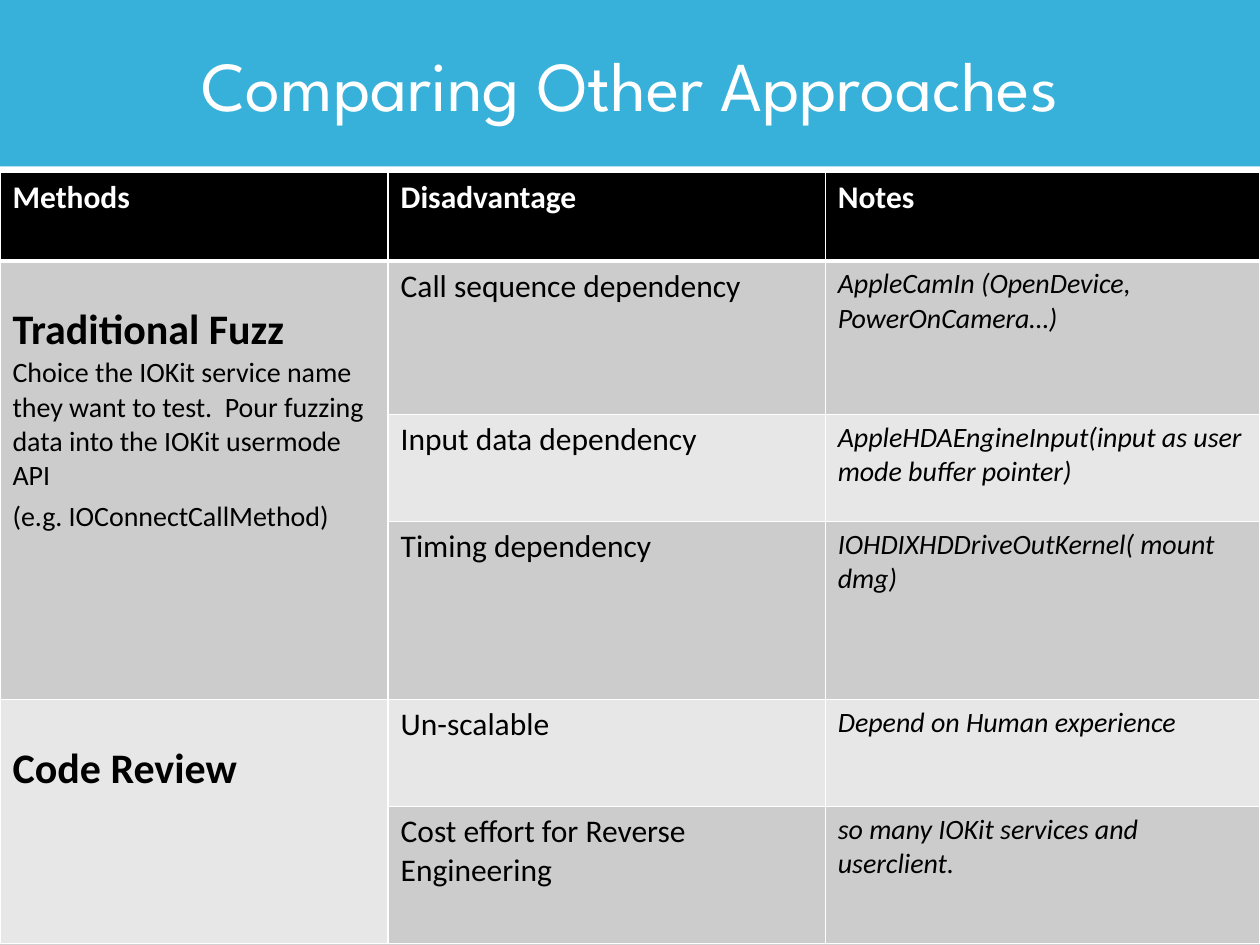
from lxml import etree
from pptx import Presentation
from pptx.dml.color import RGBColor
from pptx.enum.shapes import MSO_SHAPE
from pptx.enum.text import MSO_ANCHOR, PP_ALIGN
from pptx.oxml import parse_xml
from pptx.oxml.ns import nsdecls, qn
from pptx.util import Inches, Pt

RECTANGLE = MSO_SHAPE.RECTANGLE
MIDDLE = MSO_ANCHOR.MIDDLE
CENTER = PP_ALIGN.CENTER

WIDTH, HEIGHT = 10, 7.5
TABLE_TOP = 1.37
COLUMNS = [3.08, 3.47, 3.45]
ROWS = [0.7, 1.22, 0.85, 1.41, 0.85, 1.09]
BLACK, WHITE = "000000", "FFFFFF"
DARK_BAND, LIGHT_BAND = "CCCCCC", "E7E7E7"

HEADINGS = ["Methods", "Disadvantage", "Notes"]
METHODS = [
    ("Traditional Fuzz", [
        "Choice the IOKit service name they want to test.  Pour fuzzing data "
        "into the IOKit usermode API",
        "(e.g. IOConnectCallMethod)",
    ], [
        ("Call sequence dependency", "AppleCamIn (OpenDevice, PowerOnCamera…)"),
        ("Input data dependency",
         "AppleHDAEngineInput(input as user mode buffer pointer)"),
        ("Timing dependency", "IOHDIXHDDriveOutKernel( mount dmg)"),
    ]),
    ("Code Review", [], [
        ("Un-scalable", "Depend on Human experience"),
        ("Cost effort for Reverse Engineering",
         "so many IOKit services and userclient."),
    ]),
]


def color(hex_text):
    return RGBColor.from_string(hex_text)


def style(para, size, hex_text=BLACK, bold=False, italic=False, name="Calibri"):
    font = para.font
    font.size, font.name = Pt(size), name
    font.bold, font.italic = bold, italic
    font.color.rgb = color(hex_text)


def paint_background(page):
    fill = page.background.fill
    fill.gradient()
    fill.gradient_angle = 270
    first, last = fill.gradient_stops
    first.color.rgb, first.position = color(WHITE), 0
    last.color.rgb, last.position = color("D1D1D1"), 1
    stops = page.background._cSld.find(".//" + qn("a:gsLst"))
    stops.insert(1, parse_xml(
        f'<a:gs {nsdecls("a")} pos="50000"><a:srgbClr val="FBFBFB"/></a:gs>'))


def add_title_band(page, text):
    band = page.shapes.add_shape(RECTANGLE, 0, 0, Inches(WIDTH), Inches(1.32))
    band.shadow.inherit = False
    band.line.fill.background()
    band.fill.solid()
    band.fill.fore_color.rgb = color("15A3D4")
    tint = band._element.spPr.find(".//" + qn("a:srgbClr"))
    etree.SubElement(tint, qn("a:alpha"), val="85000")
    frame = band.text_frame
    frame.word_wrap, frame.vertical_anchor = True, MIDDLE
    para = frame.paragraphs[0]
    para.text, para.alignment = text, CENTER
    style(para, 40, WHITE, name="League Spartan")


def set_borders(cell, bottom, top):
    """Draw white borders; top and bottom are widths in points."""
    properties = cell._tc.get_or_add_tcPr()
    for index, (side, width) in enumerate(
            [("L", 1), ("R", 1), ("T", top), ("B", bottom)]):
        properties.insert(index, parse_xml(
            f'<a:ln{side} {nsdecls("a")} w="{Pt(width)}"><a:solidFill>'
            f'<a:srgbClr val="{WHITE}"/></a:solidFill></a:ln{side}>'))


def write(cell, text, size, **look):
    para = cell.text_frame.paragraphs[0]
    para.text = text
    style(para, size, **look)


def write_method(cell, name, details):
    cell.margin_top = Inches(0.35)
    write(cell, name, 24, bold=True)
    for index, detail in enumerate(details):
        para = cell.text_frame.add_paragraph()
        para.text = detail
        para.space_before = Pt(4 * index)
        style(para, 16)


def add_grid(page):
    table = page.shapes.add_table(
        len(ROWS), len(COLUMNS), 0, Inches(TABLE_TOP),
        Inches(WIDTH), Inches(HEIGHT - TABLE_TOP)).table
    table.first_row = table.horz_banding = False
    for column, width in zip(table.columns, COLUMNS):
        column.width = Inches(width)
    for index, (row, height) in enumerate(zip(table.rows, ROWS)):
        row.height = Inches(height)
        shade = DARK_BAND if index % 2 else LIGHT_BAND
        for cell in row.cells:
            cell.fill.solid()
            cell.fill.fore_color.rgb = color(shade if index else BLACK)
            set_borders(cell, bottom=1 if index else 3, top=3 if index == 1 else 1)
    return table


def fill_grid(table):
    for column, heading in enumerate(HEADINGS):
        write(table.cell(0, column), heading, 18, hex_text=WHITE, bold=True)
    row = 1
    for name, details, drawbacks in METHODS:
        method = table.cell(row, 0)
        method.merge(table.cell(row + len(drawbacks) - 1, 0))
        write_method(method, name, details)
        for drawback, note in drawbacks:
            write(table.cell(row, 1), drawback, 18)
            write(table.cell(row, 2), note, 16, italic=True)
            row += 1


def main():
    deck = Presentation()
    deck.slide_width, deck.slide_height = Inches(WIDTH), Inches(HEIGHT)
    page = deck.slides.add_slide(deck.slide_layouts[6])
    paint_background(page)
    fill_grid(add_grid(page))
    add_title_band(page, "Comparing Other Approaches")
    deck.save("out.pptx")


if __name__ == "__main__":
    main()
